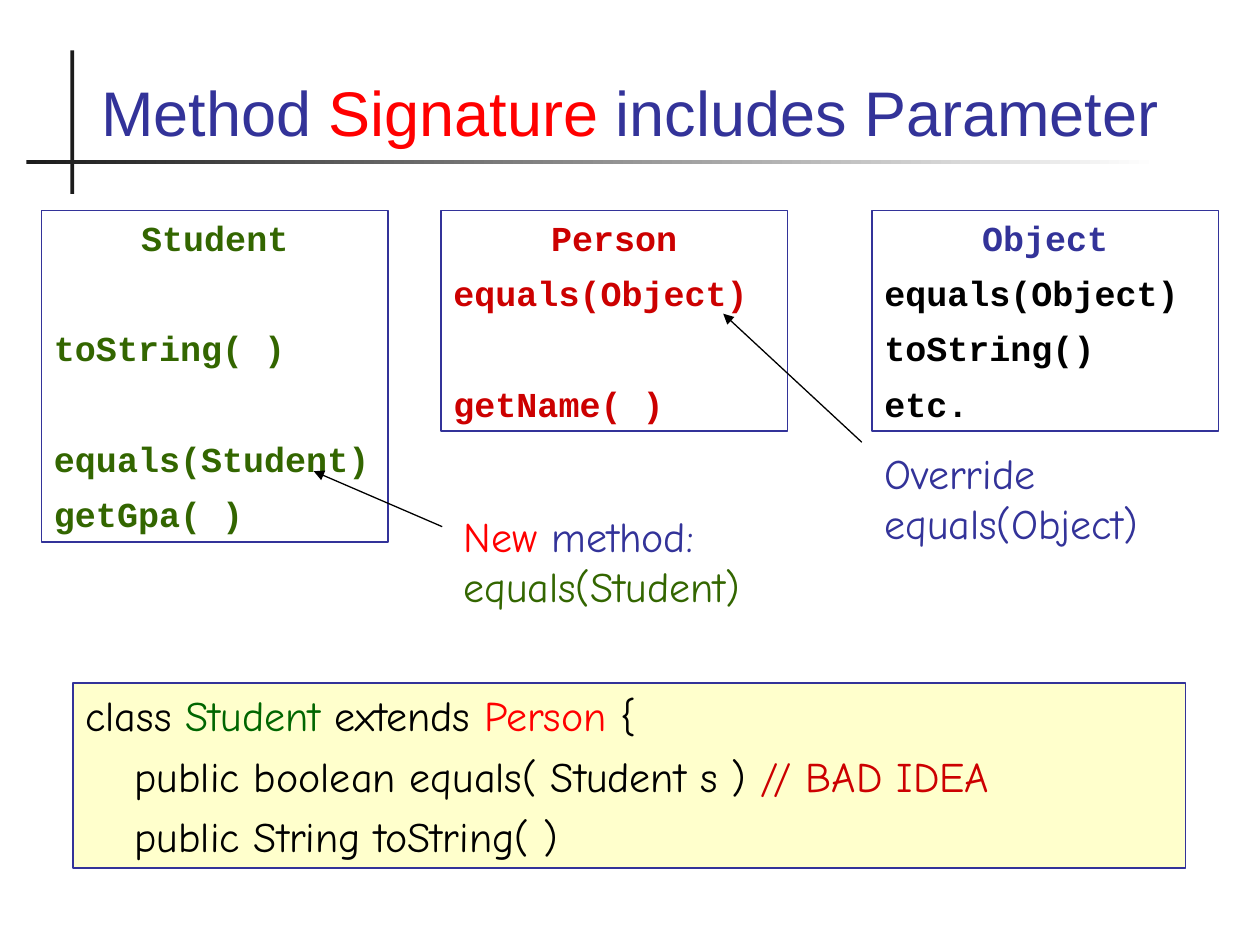
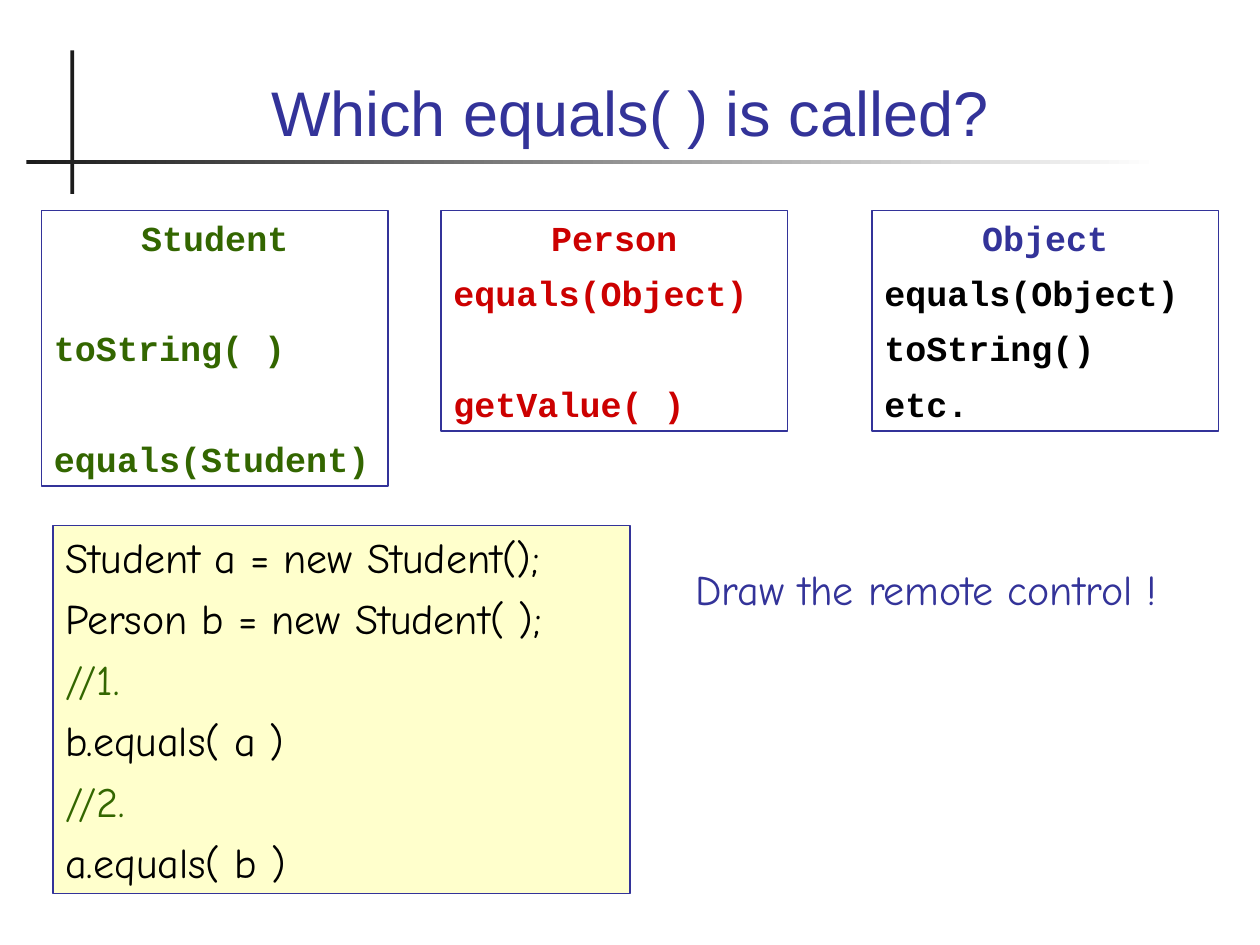
from pptx import Presentation
from pptx import util as u
from pptx.dml.color import RGBColor
from pptx.enum import shapes, text
from pptx.oxml.ns import qn
from lxml import etree

NAVY, RED, CRIMSON, GREEN = "333399", "FF0000", "CC0000", "336600"
BLACK, WHITE, CREAM, CHARCOAL = "000000", "FFFFFF", "FFFFCC", "1C1C1C"
MONO, COMIC = "Courier New", "Comic Neue"
GAP = 39  # space before a method that follows an empty row
INDENT = 0.39


def rgb(code):
    return RGBColor.from_string(code)


def add_box(s, at, rows, font, size, fill=None, line_width=None, bold=False):
    """Each row: (runs, space before, alignment, left indent); a run: (text, colour)."""
    sp = s.shapes.add_shape(shapes.MSO_SHAPE.RECTANGLE, *map(u.Inches, at)) if fill \
        else s.shapes.add_textbox(*map(u.Inches, at))
    if fill:
        sp.shadow.inherit = False
        sp.fill.solid()
        sp.fill.fore_color.rgb = rgb(fill)
        sp.line.color.rgb = rgb(NAVY)
        sp.line.width = u.Pt(line_width)
    tf = sp.text_frame
    tf.word_wrap = True
    tf.vertical_anchor = text.MSO_ANCHOR.TOP
    for i, (runs, before, align, indent) in enumerate(rows):
        p = tf.paragraphs[0] if i == 0 else tf.add_paragraph()
        p.alignment = align
        p.space_before = u.Pt(before if i else 0)
        if indent:
            p._p.get_or_add_pPr().set("marL", str(u.Inches(indent)))
        p.font.name, p.font.size, p.font.bold = font, u.Pt(size), bold
        for words, color in runs:
            r = p.add_run()
            r.text = words
            r.font.name, r.font.size, r.font.bold = font, u.Pt(size), bold
            r.font.color.rgb = rgb(color)
    return sp


LEFT, CENTER = text.PP_ALIGN.LEFT, text.PP_ALIGN.CENTER

# Class boxes: left, height, name, name colour, method colour, (method, space before)
object_class = (6.92, 1.75, "Object", NAVY, BLACK,
                [("equals(Object)", 7.5), ("toString()", 7.5), ("etc.", 7.5)])
student_methods = [("toString( )", GAP), ("equals(Student)", GAP)]

slides = [
    {
        "title": [("Method ", NAVY), ("Signature", RED), (" includes Parameter", NAVY)],
        "classes": [
            object_class,
            (3.5, 1.75, "Person", CRIMSON, CRIMSON,
             [("equals(Object)", 7.5), ("getName( )", GAP)]),
            (0.33, 2.63, "Student", GREEN, GREEN,
             student_methods + [("getGpa( )", 7.5)]),
        ],
        "code_at": (0.58, 5.42, 8.83, 1.47),
        "code": [
            (0, [("class ", BLACK), ("Student", "006600"), (" extends ", BLACK),
                 ("Person", RED), (" {", BLACK)]),
            (INDENT, [("public boolean equals( Student s ) ", BLACK),
                      ("// BAD IDEA", CRIMSON)]),
            (INDENT, [("public String toString( )", BLACK)]),
        ],
        "notes": [
            ((3.58, 4, 2.72, 0.9),
             [("New", RED), (" method: ", NAVY), ("equals(Student)", GREEN)]),
            ((6.92, 3.5, 2.75, 0.9), [("Override equals(Object)", NAVY)]),
        ],
        "arrows": [(6.84, 3.51, 5.74, 2.49), (3.51, 4.18, 2.49, 3.74)],
    },
    {
        "title": [("Which equals( ) is called?", NAVY)],
        "classes": [
            object_class,
            (3.5, 1.75, "Person", CRIMSON, CRIMSON,
             [("equals(Object)", 7.5), ("getValue( )", GAP)]),
            (0.33, 2.19, "Student", GREEN, GREEN, student_methods),
        ],
        "code_at": (0.42, 4.17, 4.58, 2.92),
        "code": [
            (0, [("Student a = new Student();", BLACK)]),
            (0, [("Person b = new Student( );", BLACK)]),
            (0, [("//1.", GREEN)]),
            (0, [("b.equals( a )", BLACK)]),
            (0, [("//2.", GREEN)]),
            (0, [("a.equals( b )", BLACK)]),
        ],
        "notes": [((5.42, 4.42, 4.42, 0.5), [("Draw the remote control !", NAVY)])],
        "arrows": [],
    },
]

prs = Presentation()
prs.slide_width, prs.slide_height = u.Inches(10), u.Inches(7.5)

for content in slides:
    s = prs.slides.add_slide(prs.slide_layouts[6])

    # Crossed rules beside the title
    for at in [(0.56, 0.4, 0.03, 1.14), (0.21, 1.27, 8.99, 0.03)]:
        rule = s.shapes.add_shape(shapes.MSO_SHAPE.RECTANGLE, *map(u.Inches, at))
        rule.shadow.inherit = False
        rule.line.fill.background()
        if at[2] > at[3]:
            rule.fill.gradient()
            rule.fill.gradient_angle = 0
            for stop, color in zip(rule.fill.gradient_stops, (CHARCOAL, WHITE)):
                stop.color.rgb = rgb(color)
        else:
            rule.fill.solid()
            rule.fill.fore_color.rgb = rgb(CHARCOAL)

    # Title
    title = add_box(s, (0.67, 0.28, 8.66, 0.95),
                    [(content["title"], 0, CENTER, 0)], "Arial", 36)
    title.text_frame.vertical_anchor = text.MSO_ANCHOR.BOTTOM

    # Class boxes
    for left, height, name, name_color, color, methods in content["classes"]:
        rows = [([(name, name_color)], 0, CENTER, 0)]
        rows += [([(method, color)], before, LEFT, 0) for method, before in methods]
        add_box(s, (left, 1.67, 2.75, height), rows, MONO, 20, WHITE, 1, bold=True)

    # Code panel
    rows = [(runs, 6, LEFT, indent) for indent, runs in content["code"]]
    add_box(s, content["code_at"], rows, COMIC, 24, CREAM, 0.75)

    # Remarks
    for at, runs in content["notes"]:
        add_box(s, at, [(runs, 0, LEFT, 0)], COMIC, 24)

    # Arrows from the remarks to the methods
    for ends in content["arrows"]:
        arrow = s.shapes.add_connector(shapes.MSO_CONNECTOR.STRAIGHT, *map(u.Inches, ends))
        arrow.line.color.rgb = rgb(BLACK)
        arrow.line.width = u.Pt(0.75)
        etree.SubElement(arrow.line._get_or_add_ln(), qn("a:tailEnd"), type="triangle")
        etree.SubElement(arrow._element.spPr, qn("a:effectLst"))

prs.save("out.pptx")
